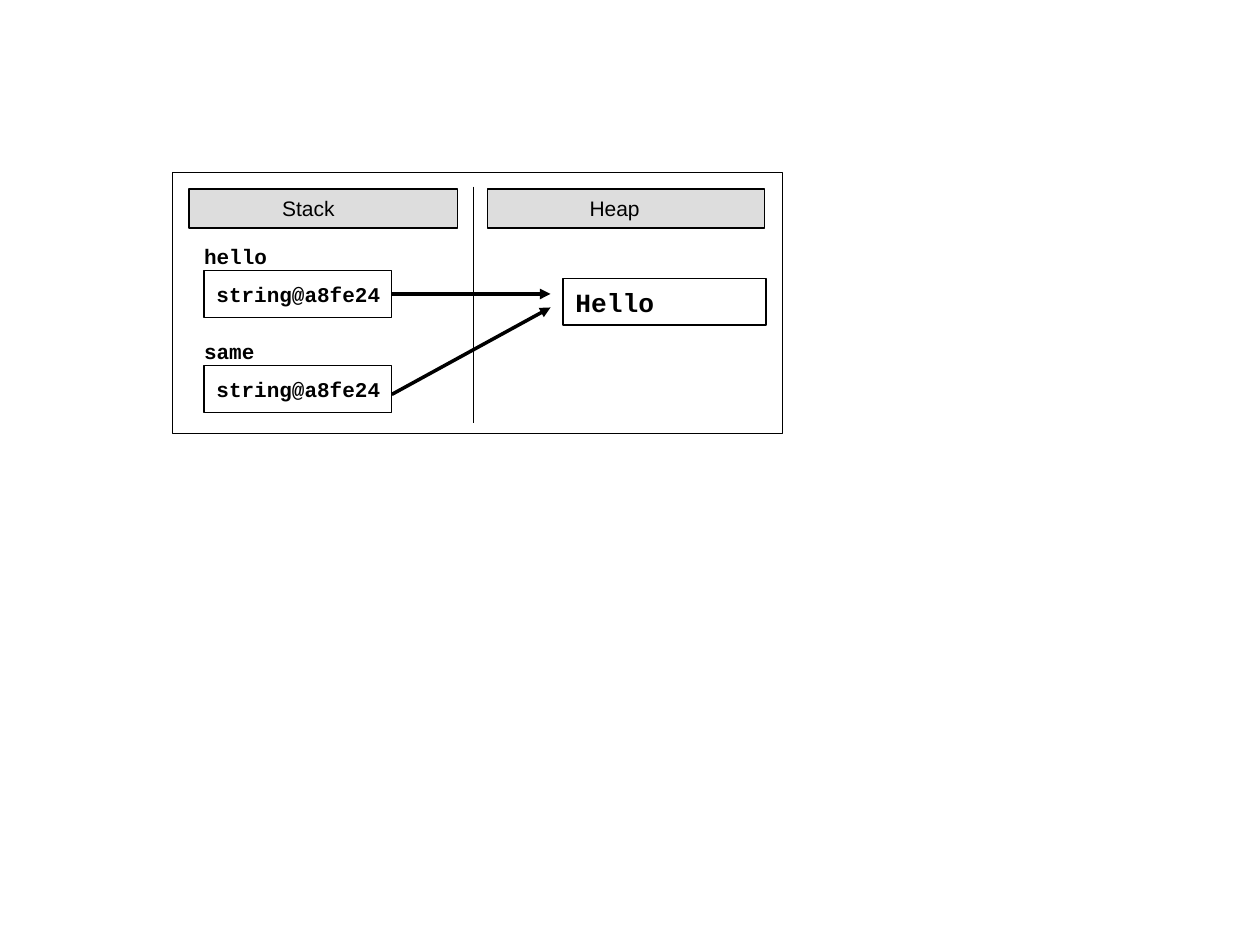
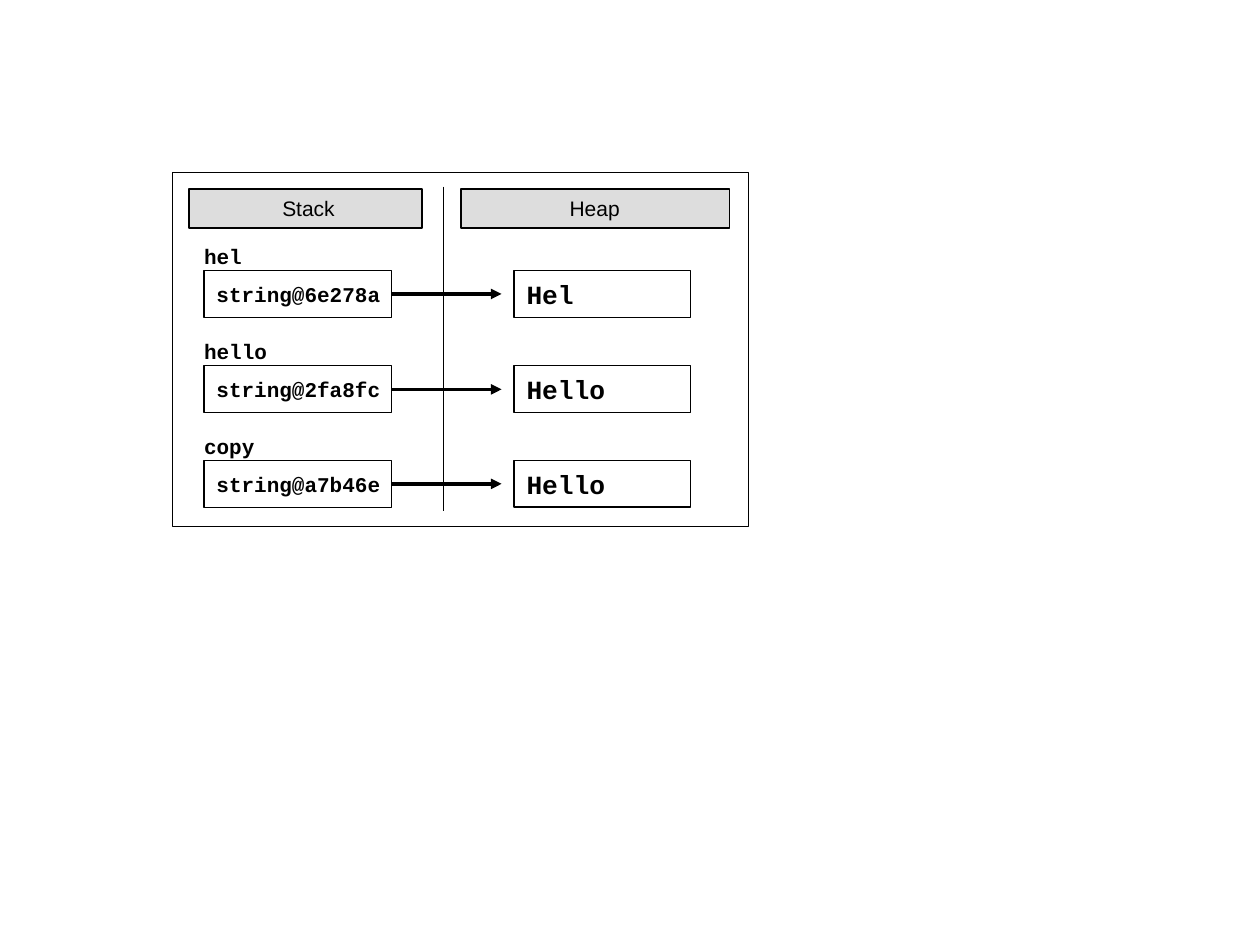
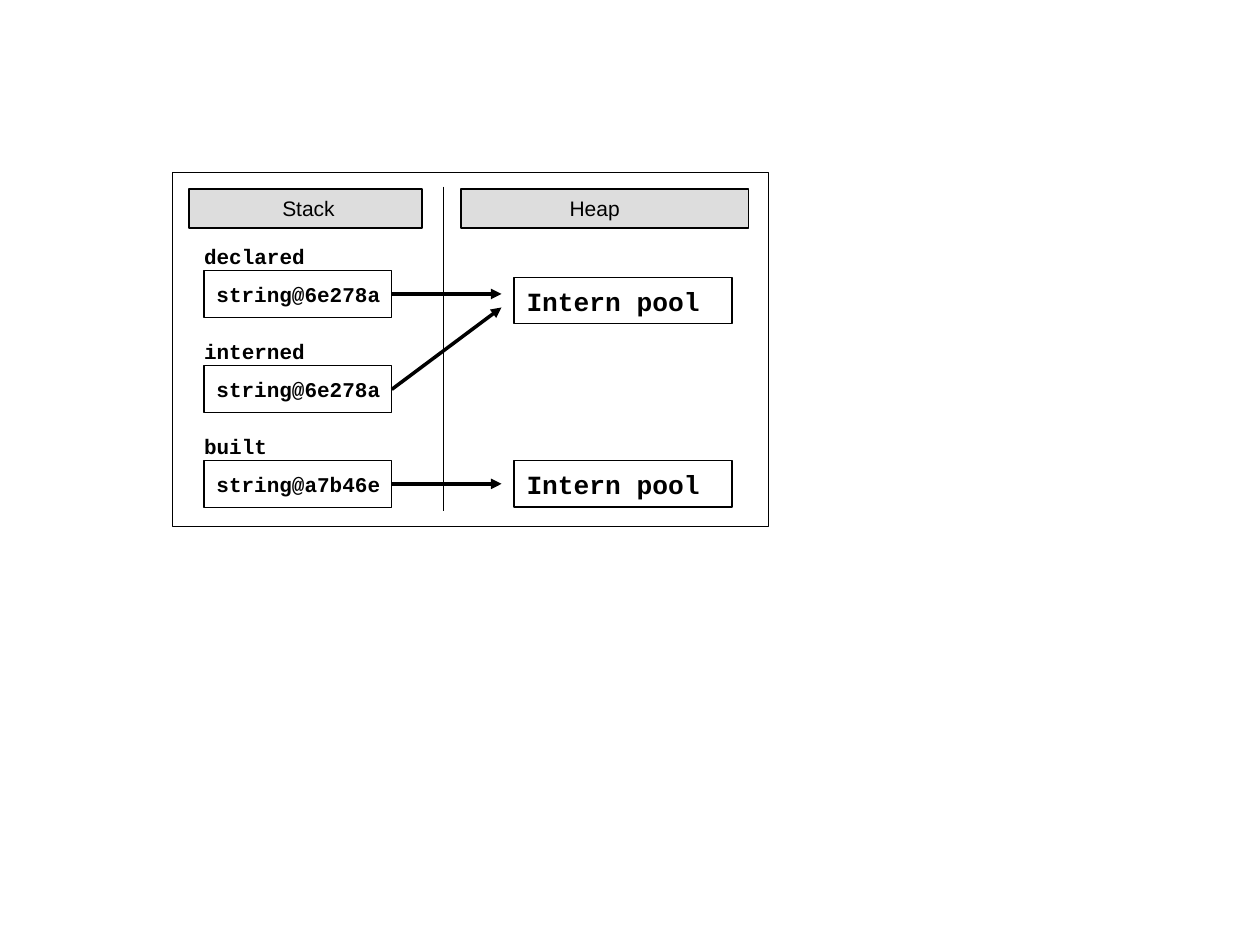
from lxml import etree
from pptx import Presentation
from pptx.dml.color import RGBColor
from pptx.enum.shapes import MSO_CONNECTOR, MSO_SHAPE
from pptx.enum.text import MSO_ANCHOR, PP_ALIGN
from pptx.oxml.ns import qn
from pptx.util import Pt

RECTANGLE = MSO_SHAPE.RECTANGLE
STRAIGHT = MSO_CONNECTOR.STRAIGHT
MIDDLE = MSO_ANCHOR.MIDDLE
TOP = MSO_ANCHOR.TOP
LEFT = PP_ALIGN.LEFT

COLORS = {"ink": "000000", "header": "DDDDDD", "box": "FFFFFF"}
HEADER_FONT = {"name": "Arial", "size": Pt(12), "bold": False}
CODE_FONT = {"name": "Courier New", "size": Pt(12), "bold": True}
VALUE_FONT = {"name": "Courier New", "size": Pt(15), "bold": True}

DIAGRAMS = [
    {
        "frame": (348.5, 149),
        "divider": (270.7, 242),
        "stack_width": 153.4,
        "heap_header": (278.6, 158.4, 58.3),
        "variables": [("hello", "string@a8fe24"), ("same", "string@a8fe24")],
        "value_column": (321.8, 116),
        "values": [("Hello", 159.1)],
        "pointers": [(168, 168), (225.4, 175.7)],
    },
    {
        "frame": (329, 202.3),
        "divider": (253.4, 292.3),
        "stack_width": 133.2,
        "heap_header": (263.5, 153.4, 62),
        "variables": [("hel", "string@6e278a"), ("hello", "string@2fa8fc"),
                      ("copy", "string@a7b46e")],
        "value_column": (293.8, 100.8),
        "values": [("Hel", 154.8), ("Hello", 209), ("Hello", 263)],
        "pointers": [(168, 168), (222.5, 222.5), (276.5, 276.5)],
    },
    {
        "frame": (340.6, 202.3),
        "divider": (253.4, 292.3),
        "stack_width": 133.2,
        "heap_header": (263.5, 164.2, 62),
        "variables": [("declared", "string@6e278a"), ("interned", "string@6e278a"),
                      ("built", "string@a7b46e")],
        "value_column": (293.8, 124.6),
        "values": [("Intern pool", 158.4), ("Intern pool", 263)],
        "pointers": [(168, 168), (222.5, 175.7), (276.5, 276.5)],
    },
]

FRAME_ORIGIN = 98.6
DIVIDER_TOP = 106.6
HEADER_TOP, HEADER_HEIGHT = 108, 22.3
STACK_LEFT, STACK_INDENT = 108, 53.3
VARIABLE_LEFT, VARIABLE_WIDTH = 116.6, 107.3
ROW_TOP, ROW_PITCH, BOX_HEIGHT = 154.8, 54.2, 26.7
LABEL_RISE, LABEL_HEIGHT, CHARACTER_WIDTH = 15.4, 14.4, 7.2
BOX_INDENT = ARROW_GAP = 7.2


def color(key):
    return RGBColor.from_string(COLORS[key])


def write(shape, text, font, indent=0, anchor=MIDDLE, wrap=True):
    frame = shape.text_frame
    settings = {"margin_left": Pt(indent), "margin_right": 0, "margin_top": 0,
                "margin_bottom": 0, "word_wrap": wrap, "vertical_anchor": anchor}
    for name, value in settings.items():
        setattr(frame, name, value)
    paragraph = frame.paragraphs[0]
    paragraph.alignment = LEFT
    run = paragraph.add_run()
    run.text = text
    for name, value in font.items():
        setattr(run.font, name, value)
    run.font.color.rgb = color("ink")


def add_box(slide, left, top, width, height, fill=None, weight=0.75):
    box = slide.shapes.add_shape(RECTANGLE, Pt(left), Pt(top), Pt(width), Pt(height))
    box.shadow.inherit = False
    if fill:
        box.fill.solid()
        box.fill.fore_color.rgb = color(fill)
    else:
        box.fill.background()
    box.line.color.rgb = color("ink")
    box.line.width = Pt(weight)
    return box


def add_line(slide, start, end, weight, arrow=False):
    line = slide.shapes.add_connector(STRAIGHT, *map(Pt, start + end))
    line.line.color.rgb = color("ink")
    line.line.width = Pt(weight)
    if arrow:
        etree.SubElement(line.line._get_or_add_ln(), qn("a:tailEnd"), type="triangle")
    etree.SubElement(line._element.spPr, qn("a:effectLst"))


def add_header(slide, text, left, width, indent):
    header = add_box(slide, left, HEADER_TOP, width, HEADER_HEIGHT, "header")
    write(header, text, HEADER_FONT, indent)


def add_variable(slide, row, label, address):
    top = ROW_TOP + row * ROW_PITCH
    box = add_box(slide, VARIABLE_LEFT, top, VARIABLE_WIDTH, BOX_HEIGHT, "box")
    write(box, address, CODE_FONT, BOX_INDENT)
    caption = slide.shapes.add_textbox(
        Pt(VARIABLE_LEFT), Pt(top - LABEL_RISE),
        Pt(CHARACTER_WIDTH * len(label)), Pt(LABEL_HEIGHT))
    write(caption, label, CODE_FONT, anchor=TOP, wrap=False)


def draw_diagram(slide, diagram):
    divider_x, divider_bottom = diagram["divider"]
    add_line(slide, (divider_x, DIVIDER_TOP), (divider_x, divider_bottom), 0.75)
    add_box(slide, FRAME_ORIGIN, FRAME_ORIGIN, *diagram["frame"], weight=0.5)
    add_header(slide, "Heap", *diagram["heap_header"])
    add_header(slide, "Stack", STACK_LEFT, diagram["stack_width"], STACK_INDENT)
    for row, (label, address) in enumerate(diagram["variables"]):
        add_variable(slide, row, label, address)
    value_left, value_width = diagram["value_column"]
    for text, top in diagram["values"]:
        value = add_box(slide, value_left, top, value_width, BOX_HEIGHT)
        write(value, text, VALUE_FONT, BOX_INDENT)
    for start_y, end_y in diagram["pointers"]:
        add_line(slide, (VARIABLE_LEFT + VARIABLE_WIDTH, start_y),
                 (value_left - ARROW_GAP, end_y), 2, arrow=True)


def main():
    deck = Presentation()
    deck.slide_width, deck.slide_height = Pt(720), Pt(540)
    blank = deck.slide_layouts[6]
    for diagram in DIAGRAMS:
        draw_diagram(deck.slides.add_slide(blank), diagram)
    deck.save("out.pptx")


if __name__ == "__main__":
    main()
